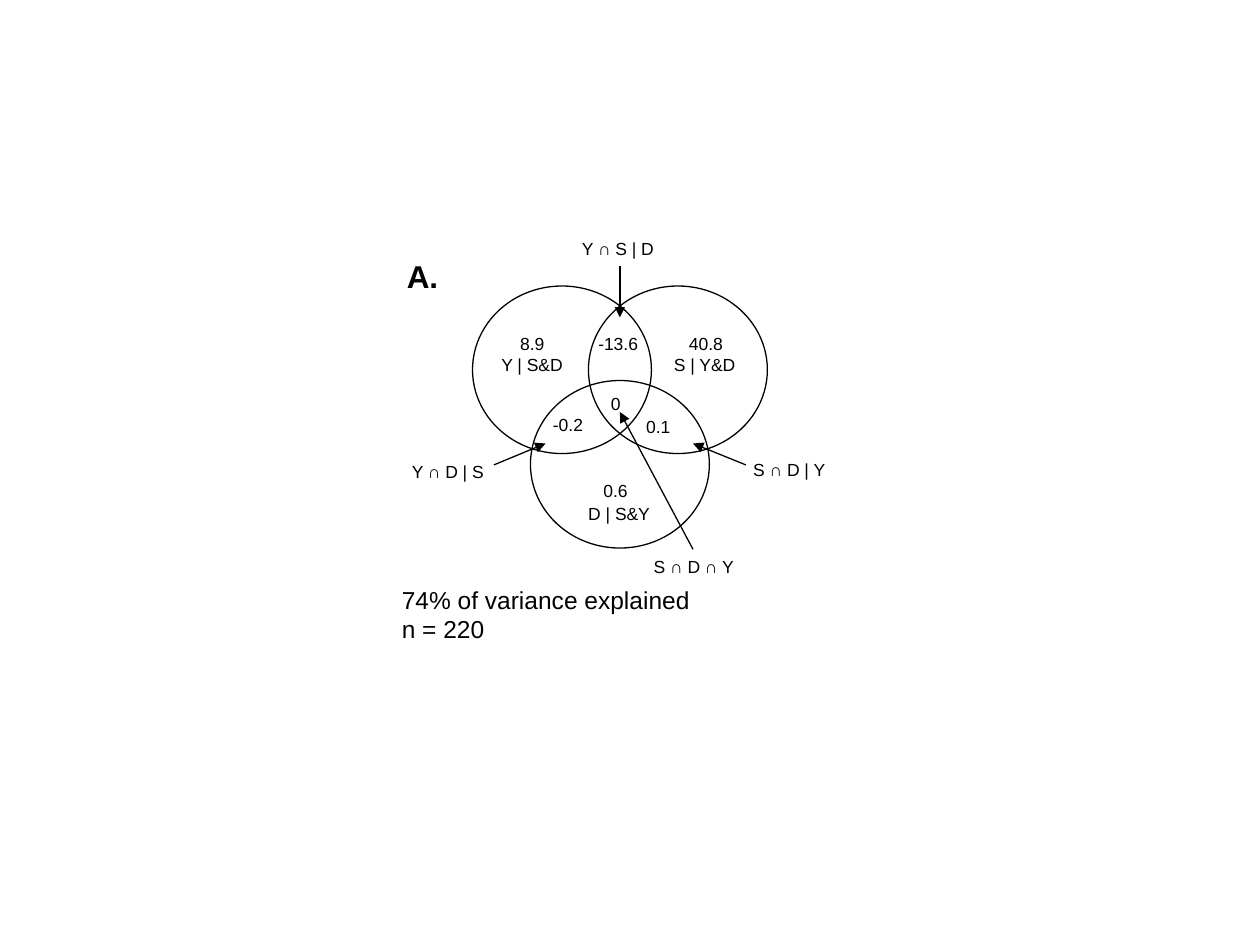
from lxml.etree import SubElement
from pptx import Presentation
from pptx.dml.color import RGBColor
from pptx.enum.shapes import MSO_CONNECTOR, MSO_SHAPE
from pptx.enum.text import MSO_AUTO_SIZE, PP_ALIGN
from pptx.oxml.ns import qn
from pptx.util import Inches, Pt

INK = "000000"
SIZE = (1.42, 1.33)
RINGS = [(4.67, 2.27), (4.21, 3.02), (3.75, 2.27)]
LABELS = [
    ("S | Y&D", 5.25, 2.76, 0.69),
    ("D | S&Y", 4.57, 3.94, 0.69),
    ("Y | S&D", 3.88, 2.76, 0.69),
    ("0.6", 4.69, 3.76, 0.39),
    ("40.8", 5.37, 2.59, 0.47),
    ("8.9", 4.03, 2.59, 0.39),
    ("S ∩ D | Y", 5.88, 3.59, 0.77),
    ("Y ∩ D | S", 3.17, 3.61, 0.77),
    ("Y ∩ S | D", 4.52, 1.84, 0.77),
    ("-0.2", 4.29, 3.24, 0.44),
    ("-13.6", 4.65, 2.59, 0.54),
    ("0.1", 5.03, 3.25, 0.39),
    ("S ∩ D ∩ Y", 5.09, 4.36, 0.86),
]
ARROWS = [
    (4.92, 2.11, 4.92, 2.52),
    (3.92, 3.69, 4.33, 3.52),
    (5.92, 3.69, 5.5, 3.52),
    (5.5, 4.36, 4.92, 3.27),
]
NOTES = ["74% of variance explained", "n = 220"]


def paint(fmt, color):
    fmt.solid()
    fmt.fore_color.rgb = RGBColor.from_string(color)


def stroke(line):
    paint(line.fill, INK)
    line.width = Pt(0.75)


def ring(slide, left, top):
    oval = slide.shapes.add_shape(
        MSO_SHAPE.OVAL, *map(Inches, (left, top, *SIZE)))
    oval.shadow.inherit = False
    oval.fill.background()
    stroke(oval.line)


def write(slide, lines, left, top, width, height=0.27, size=10, bold=False,
          align=PP_ALIGN.LEFT):
    box = slide.shapes.add_textbox(*map(Inches, (left, top, width, height)))
    frame = box.text_frame
    frame.word_wrap = False
    frame.auto_size = MSO_AUTO_SIZE.SHAPE_TO_FIT_TEXT
    frame.text = "\n".join(lines)
    for para in frame.paragraphs:
        para.alignment = align
        font = para.font
        font.name, font.size, font.bold = "Arial", Pt(size), bold
        paint(font.fill, INK)


def arrow(slide, *ends):
    link = slide.shapes.add_connector(
        MSO_CONNECTOR.STRAIGHT, *map(Inches, ends))
    stroke(link.line)
    props = link.element.spPr
    SubElement(props.find(qn("a:ln")), qn("a:tailEnd"), type="triangle")
    SubElement(props, qn("a:effectLst"))


def main():
    deck = Presentation()
    deck.slide_width, deck.slide_height = Inches(10), Inches(7.5)
    slide = deck.slides.add_slide(deck.slide_layouts[6])
    for spot in RINGS:
        ring(slide, *spot)
    for text, *spot in LABELS:
        write(slide, [text], *spot)
    write(slide, ["0"], 4.75, 3.07, 0.27, align=PP_ALIGN.CENTER)
    for ends in ARROWS:
        arrow(slide, *ends)
    write(slide, NOTES, 3.09, 4.59, 2.49, 0.57, size=14)
    write(slide, ["A."], 3.13, 1.99, 0.45, 0.4, size=18, bold=True)
    deck.save("out.pptx")


if __name__ == "__main__":
    main()
